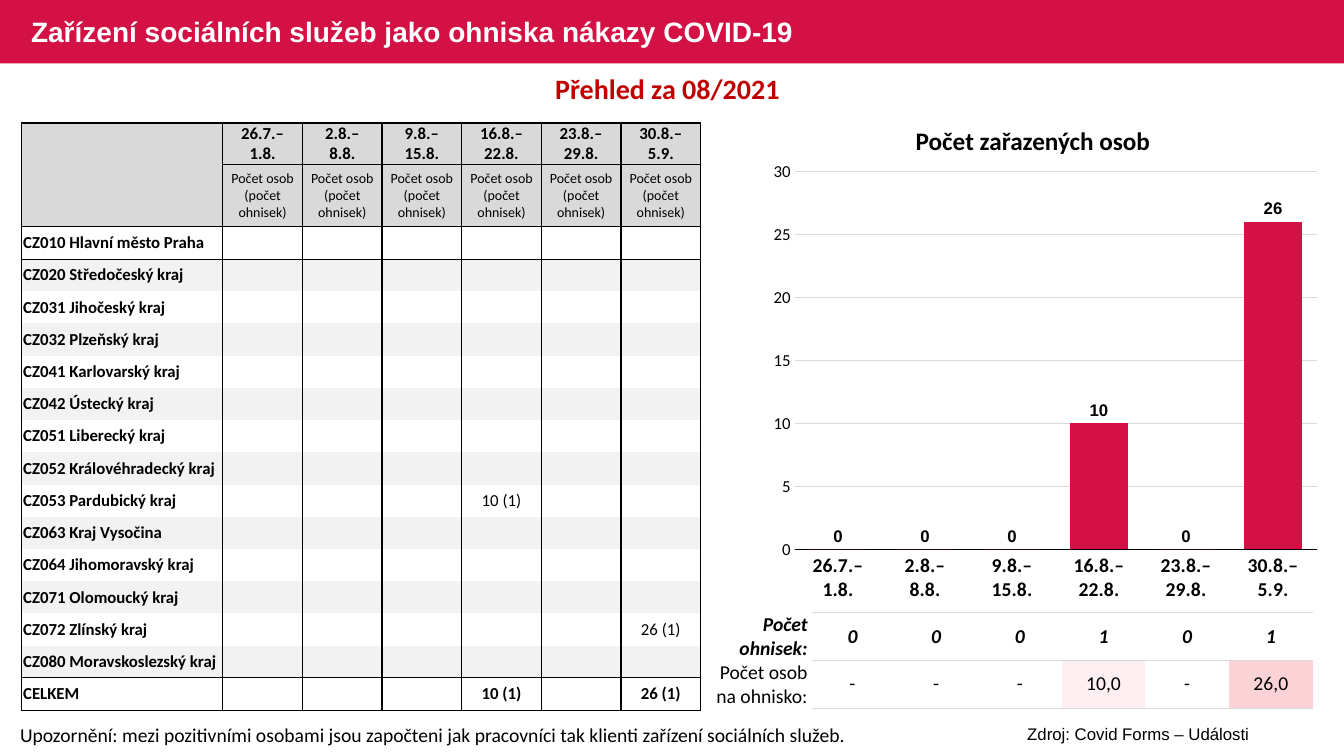
from dataclasses import dataclass, field

from lxml import etree
from pptx import Presentation
from pptx.chart.data import CategoryChartData
from pptx.dml.color import RGBColor
from pptx.enum.chart import XL_CHART_TYPE, XL_LABEL_POSITION, XL_TICK_MARK
from pptx.enum.shapes import MSO_SHAPE
from pptx.enum.text import MSO_ANCHOR, PP_ALIGN
from pptx.oxml.ns import qn
from pptx.slide import Slide
from pptx.table import _Cell
from pptx.text.text import Font, _Paragraph
from pptx.util import Inches, Pt

LEFT, CENTER, RIGHT = PP_ALIGN.LEFT, PP_ALIGN.CENTER, PP_ALIGN.RIGHT
TOP, MIDDLE = MSO_ANCHOR.TOP, MSO_ANCHOR.MIDDLE
NO_TICKS = XL_TICK_MARK.NONE
PLAIN_TABLE_STYLE = "{2D5ABB26-0587-4C30-8999-92F81FD0307C}"

BLACK, WHITE, CRIMSON, DARK_RED = "000000", "FFFFFF", "D31145", "C00000"
HEADER_GREY, BAND_GREY, LINE_GREY = "D9D9D9", "F2F2F2", "D9D9D9"

WEEKS = ["26.7.–\n1.8.", "2.8.–\n8.8.", "9.8.–\n15.8.",
         "16.8.–\n22.8.", "23.8.–\n29.8.", "30.8.–\n5.9."]
PERSONS = [0, 0, 0, 10, 0, 26]
OUTBREAKS = ["0", "0", "0", "1", "0", "1"]
PERSONS_PER_OUTBREAK = ["-", "-", "-", "10,0", "-", "26,0"]
RATIO_FILLS = {"10,0": "FCEEF1", "26,0": "FBD3D6"}
REGIONS = [
    "CZ010 Hlavní město Praha", "CZ020 Středočeský kraj", "CZ031 Jihočeský kraj",
    "CZ032 Plzeňský kraj", "CZ041 Karlovarský kraj", "CZ042 Ústecký kraj",
    "CZ051 Liberecký kraj", "CZ052 Královéhradecký kraj", "CZ053 Pardubický kraj",
    "CZ063 Kraj Vysočina", "CZ064 Jihomoravský kraj", "CZ071 Olomoucký kraj",
    "CZ072 Zlínský kraj", "CZ080 Moravskoslezský kraj",
]
REGION_COUNTS = {"CZ053 Pardubický kraj": {3: "10 (1)"},
                 "CZ072 Zlínský kraj": {5: "26 (1)"}}
TOTAL_COUNTS = {3: "10 (1)", 5: "26 (1)"}


@dataclass
class Style:
    size: float
    color: str = BLACK
    bold: bool = False
    italic: bool = False
    name: str = "Calibri"
    align: PP_ALIGN = CENTER


@dataclass
class Label:
    text: str
    box: tuple[float, float, float, float]
    style: Style
    anchor: MSO_ANCHOR = TOP
    line_spacing: float = 1.0


@dataclass
class CellSpec:
    """Content of a cell; borders maps sides (L, R, T, B) to widths in points."""
    text: str = ""
    style: Style = field(default_factory=lambda: Style(12))
    fill: str = ""
    borders: dict[str, float] = field(default_factory=dict)
    border_color: str = BLACK
    margins: tuple[float, float] = (0.01, 0.01)


def rgb(color: str) -> RGBColor:
    return RGBColor.from_string(color)


def set_font(font: Font, style: Style) -> None:
    font.name, font.size = style.name, Pt(style.size)
    font.bold, font.italic = style.bold, style.italic
    font.color.rgb = rgb(style.color)


def write_text(paragraph: _Paragraph, text: str, style: Style) -> None:
    paragraph.alignment = style.align
    for index, line in enumerate(text.split("\n")):
        if index:
            paragraph.add_line_break()
        run = paragraph.add_run()
        run.text = line
        set_font(run.font, style)


def add_label(slide: Slide, label: Label) -> None:
    frame = slide.shapes.add_textbox(*map(Inches, label.box)).text_frame
    frame.word_wrap = True
    frame.vertical_anchor = label.anchor
    frame.paragraphs[0].line_spacing = label.line_spacing
    write_text(frame.paragraphs[0], label.text, label.style)


def add_banner(slide: Slide) -> None:
    banner = slide.shapes.add_shape(MSO_SHAPE.RECTANGLE, 0, 0, Inches(13.33), Inches(0.63))
    banner.shadow.inherit = False
    banner.fill.solid()
    banner.fill.fore_color.rgb = rgb(CRIMSON)
    banner.line.fill.background()


def fill_cell(cell: _Cell, spec: CellSpec) -> None:
    cell.vertical_anchor = MIDDLE
    cell.margin_left, cell.margin_right = map(Inches, spec.margins)
    cell.margin_top = cell.margin_bottom = 0
    properties = cell._tc.get_or_add_tcPr()
    for side in "LRTB":
        if side in spec.borders:
            line = etree.SubElement(properties, qn(f"a:ln{side}"), w=str(Pt(spec.borders[side])))
            solid = etree.SubElement(line, qn("a:solidFill"))
            etree.SubElement(solid, qn("a:srgbClr"), val=spec.border_color)
    if spec.fill:
        cell.fill.solid()
        cell.fill.fore_color.rgb = rgb(spec.fill)
    else:
        cell.fill.background()
    if spec.text:
        write_text(cell.text_frame.paragraphs[0], spec.text, spec.style)


def add_grid(slide: Slide, left: float, top: float, widths: list[float],
             heights: list[float], rows: list[list[CellSpec]]) -> None:
    frame = slide.shapes.add_table(len(heights), len(widths), Inches(left), Inches(top),
                                   Inches(sum(widths)), Inches(sum(heights)))
    table = frame.table
    table.first_row = table.horz_banding = False
    next(frame.element.iter(qn("a:tableStyleId"))).text = PLAIN_TABLE_STYLE
    for column, width in zip(table.columns, widths):
        column.width = Inches(width)
    for row, height, specs in zip(table.rows, heights, rows):
        row.height = Inches(height)
        for cell, spec in zip(row.cells, specs):
            fill_cell(cell, spec)


def region_row(name: str, counts: dict[int, str], fill: str,
               borders: dict[str, float], bold_counts: bool = False) -> list[CellSpec]:
    name_cell = CellSpec(name, Style(12, bold=True, align=LEFT), fill, borders,
                         margins=(0.02, 0.02))
    return [name_cell] + [CellSpec(counts.get(week, ""), Style(12, bold=bold_counts), fill, borders)
                          for week in range(len(WEEKS))]


def add_region_table(slide: Slide) -> None:
    sides = {"L": 1, "R": 1}
    all_sides = {**sides, "T": 1, "B": 1}
    week_row = [CellSpec("", fill=HEADER_GREY, borders={**sides, "T": 1})]
    week_row += [CellSpec(week, Style(12, bold=True), HEADER_GREY, all_sides) for week in WEEKS]
    unit_row = [CellSpec("", fill=HEADER_GREY, borders={**sides, "B": 0.5})]
    unit_row += [CellSpec("Počet osob (počet ohnisek)", Style(10), HEADER_GREY,
                          {**all_sides, "B": 0.5}) for _ in WEEKS]
    rows = [week_row, unit_row]
    for index, name in enumerate(REGIONS):
        borders = dict(sides)
        if index == 0:
            borders["T"] = 0.5
        if index == len(REGIONS) - 1:
            borders["B"] = 1
        rows.append(region_row(name, REGION_COUNTS.get(name, {}),
                               BAND_GREY if index % 2 else "", borders))
    rows.append(region_row("CELKEM", TOTAL_COUNTS, "", all_sides, bold_counts=True))
    heights = [0.41, 0.62] + [0.32] * (len(REGIONS) + 1)
    add_grid(slide, 0.21, 1.22, [2] + [0.79] * len(WEEKS), heights, rows)


def add_outbreak_values(slide: Slide) -> None:
    rows = [[CellSpec(value, Style(14, bold=True, italic=True)) for value in OUTBREAKS],
            [CellSpec(value, Style(14), RATIO_FILLS.get(value, ""))
             for value in PERSONS_PER_OUTBREAK]]
    add_grid(slide, 8.04, 6.08, [0.83] * len(WEEKS), [0.47] * 2, rows)


def add_outbreak_labels(slide: Slide) -> None:
    columns = 7
    labels = [("Počet ohnisek:", True), ("Počet osob na ohnisko:", False)]
    rows = [[CellSpec(text, Style(14, bold=strong, italic=strong, align=RIGHT),
                      margins=(0.01, 0.04))]
            + [CellSpec(borders={"T": 1, "B": 1}, border_color=LINE_GREY)] * columns
            for text, strong in labels]
    add_grid(slide, 7.04, 6.08, [1.01] + [0.71] * columns, [0.47] * 2, rows)


def add_person_chart(slide: Slide) -> None:
    data = CategoryChartData()
    data.categories = WEEKS
    data.add_series("Počet osob", PERSONS)
    chart = slide.shapes.add_chart(XL_CHART_TYPE.COLUMN_CLUSTERED, Inches(7.56), Inches(1.51),
                                   Inches(5.61), Inches(4.55), data).chart
    chart.has_legend = chart.has_title = False
    set_font(chart.font, Style(14, bold=True, name="Arial"))

    category_axis, value_axis = chart.category_axis, chart.value_axis
    for axis, style in ((category_axis, Style(14, bold=True)), (value_axis, Style(12))):
        axis.major_tick_mark = axis.minor_tick_mark = NO_TICKS
        set_font(axis.tick_labels.font, style)
    category_axis.format.line.color.rgb = rgb(BLACK)
    category_axis.format.line.width = Pt(0.75)
    value_axis.format.line.fill.background()
    value_axis.minimum_scale, value_axis.maximum_scale, value_axis.major_unit = 0, 30, 5
    gridline = value_axis.major_gridlines.format.line
    gridline.color.rgb, gridline.width = rgb(LINE_GREY), Pt(0.75)

    plot = chart.plots[0]
    plot.gap_width, plot.vary_by_categories = 50, False
    bars = plot.series[0].format.fill
    bars.solid()
    bars.fore_color.rgb = rgb(CRIMSON)
    plot.has_data_labels = True
    plot.data_labels.show_value = True
    plot.data_labels.position = XL_LABEL_POSITION.OUTSIDE_END
    set_font(plot.data_labels.font, Style(12, bold=True, name="Arial"))


LABELS = [
    Label("Upozornění: mezi pozitivními osobami jsou započteni jak pracovníci tak klienti "
          "zařízení sociálních služeb.", (0.1, 7.12, 8.52, 0.34), Style(14, align=LEFT)),
    Label("Počet zařazených osob", (7.56, 1.19, 5.37, 0.4), Style(18, bold=True)),
    Label("Zařízení sociálních služeb jako ohniska nákazy COVID-19", (0.21, 0.02, 8.13, 0.63),
          Style(20, WHITE, bold=True, name="Arial", align=LEFT), MIDDLE, 0.9),
    Label("Zdroj: Covid Forms – Události", (9.35, 7.13, 3.88, 0.3), Style(12, name="Arial")),
    Label("Přehled za 08/2021", (0.21, 0.66, 12.82, 0.44), Style(20, DARK_RED, bold=True)),
]


def main() -> None:
    presentation = Presentation()
    presentation.slide_width, presentation.slide_height = Inches(13.33), Inches(7.5)
    slide = presentation.slides.add_slide(presentation.slide_layouts[6])
    add_banner(slide)
    add_outbreak_values(slide)
    add_region_table(slide)
    add_person_chart(slide)
    add_outbreak_labels(slide)
    for label in LABELS:
        add_label(slide, label)
    presentation.save("out.pptx")


if __name__ == "__main__":
    main()
